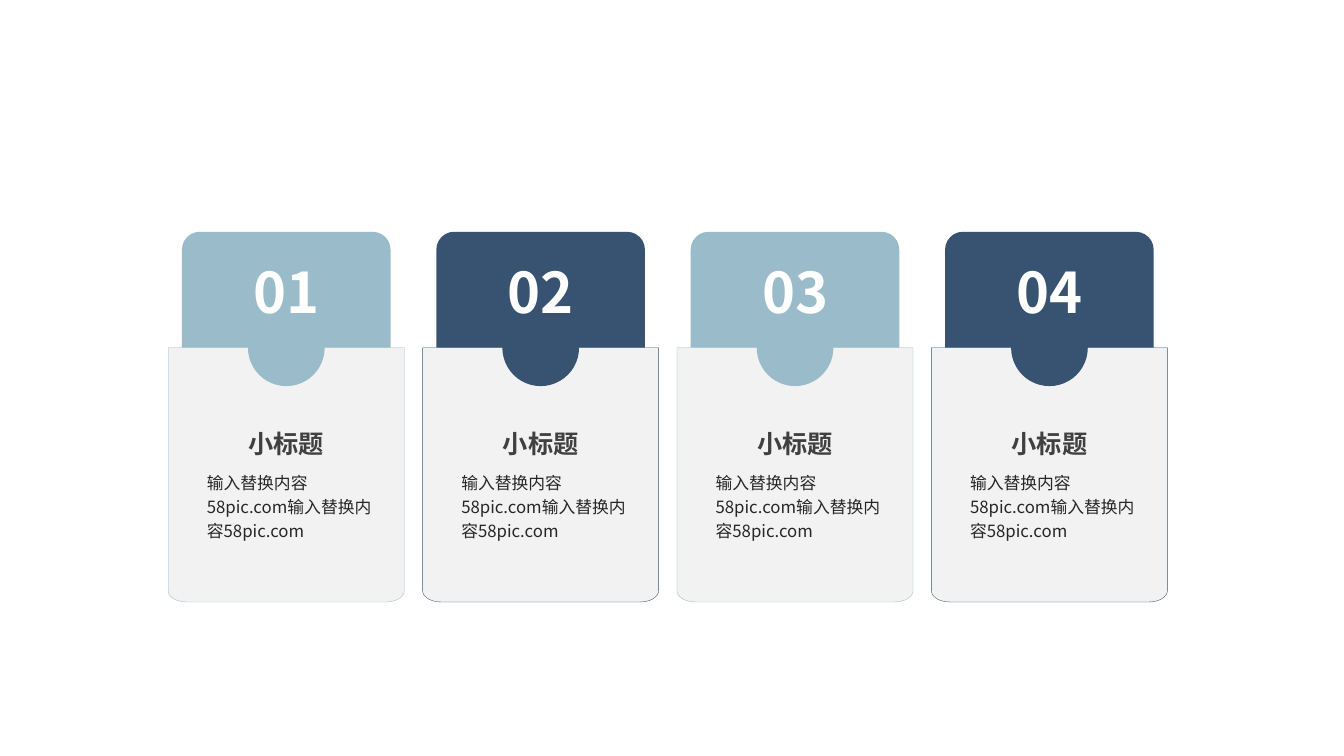
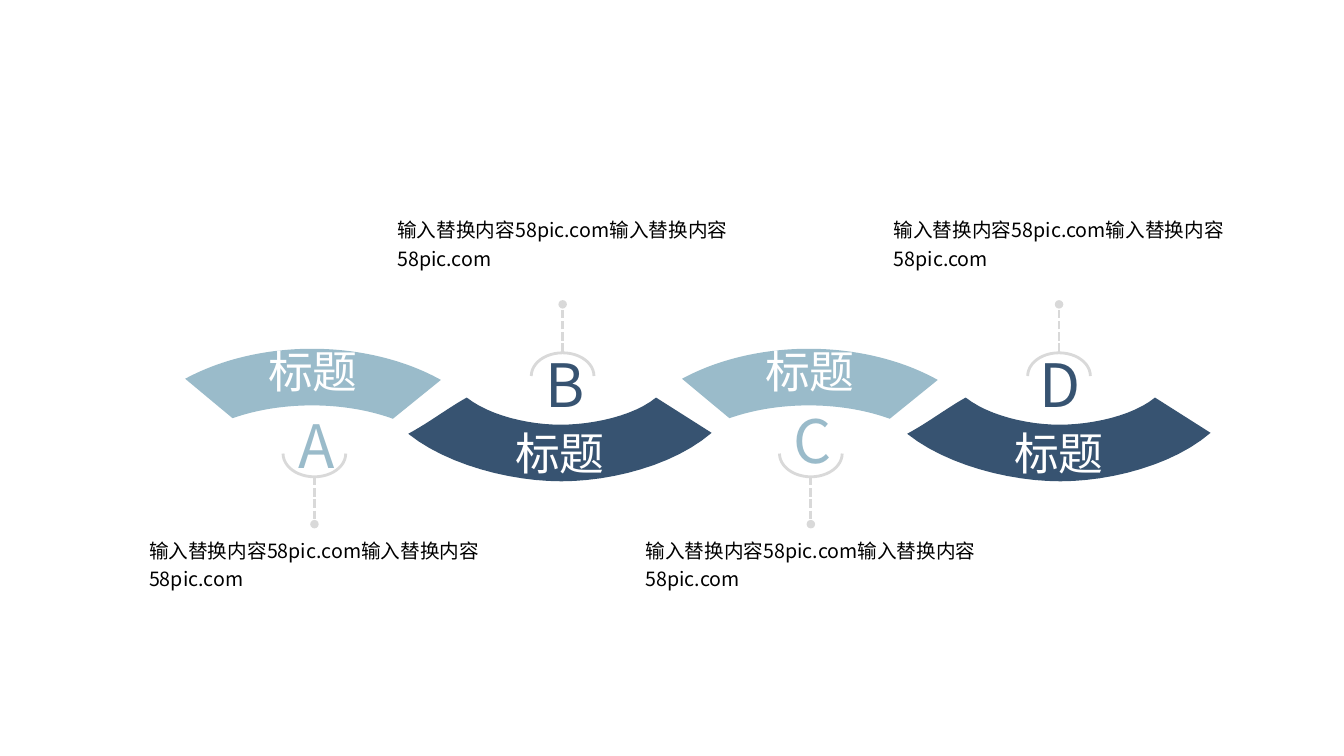
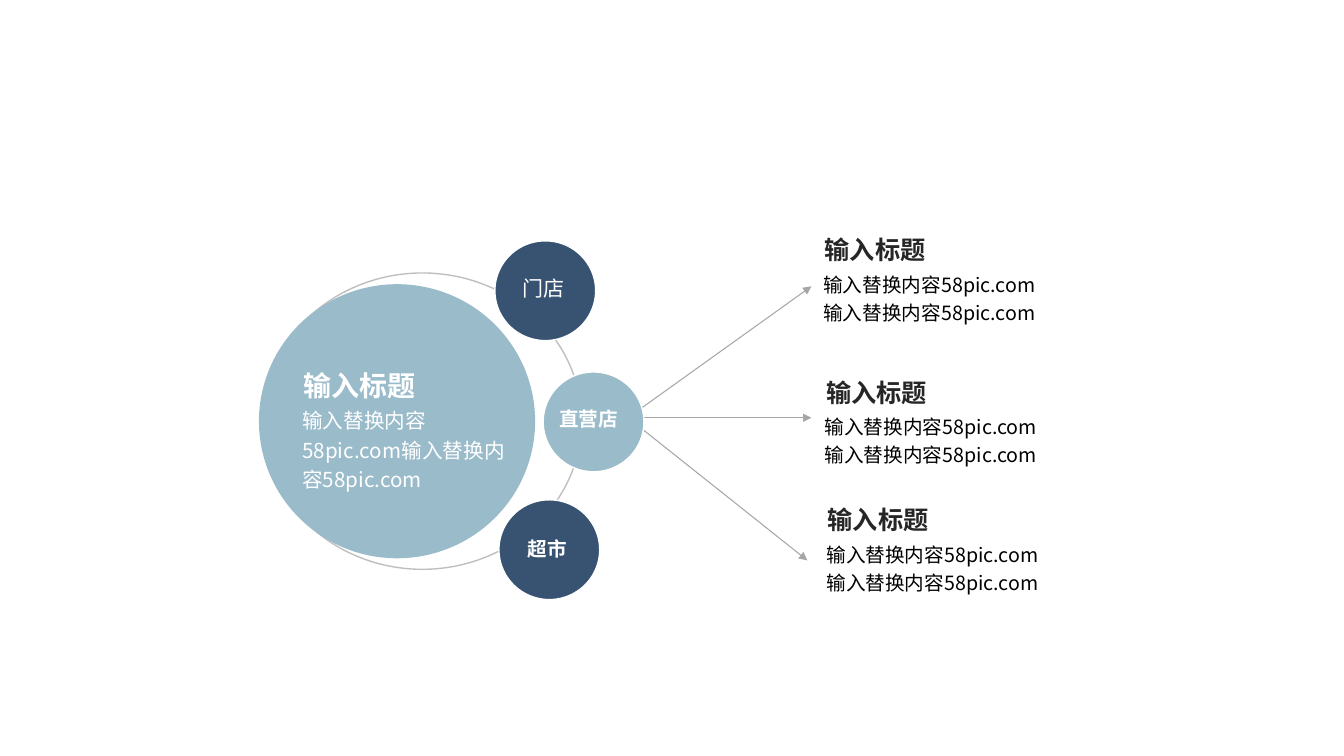
"""Build three diagram slides: numbered cards, a lettered wave and a hub with branches."""
import dataclasses
import math

import lxml.etree
import pptx
import pptx.dml.color
import pptx.enum.dml
import pptx.enum.shapes
import pptx.enum.text
import pptx.oxml.ns
import pptx.util

Pt = pptx.util.Pt
qn = pptx.oxml.ns.qn
SHAPE = pptx.enum.shapes.MSO_SHAPE
STRAIGHT = pptx.enum.shapes.MSO_CONNECTOR.STRAIGHT
CENTER = pptx.enum.text.PP_ALIGN.CENTER
MIDDLE = pptx.enum.text.MSO_ANCHOR.MIDDLE


@dataclasses.dataclass(frozen=True)
class Theme:
    light: str = "9ABBCA"
    dark: str = "375371"
    white: str = "FFFFFF"
    black: str = "000000"
    ink: str = "262626"
    heading: str = "404040"
    pocket: str = "F2F2F2"
    marker: str = "D9D9D9"
    orbit: str = "BFBFBF"
    arrow: str = "A6A6A6"
    font: str = "Noto Sans CJK SC"
    label_font: str = "Arial"
    head_font: str = "Calibri"
    letter: float = 42.7
    number: float = 40
    band: float = 32
    hub_head: float = 20
    head: float = 18
    store: float = 15
    hub_body: float = 14.7
    body: float = 14
    small: float = 12


theme = Theme()
accents = [theme.light, theme.dark, theme.light, theme.dark]
BODY = "输入替换内容58pic.com输入替换内容58pic.com"


def write(frame, text, size, color, font=theme.font, bold=False, align=None,
          spacing=None, insets=(7.2, 3.6, 7.2, 3.6), anchor=None, grow=True):
    frame.word_wrap = True
    if grow:
        frame.auto_size = pptx.enum.text.MSO_AUTO_SIZE.SHAPE_TO_FIT_TEXT
    frame.margin_left, frame.margin_top, frame.margin_right, frame.margin_bottom = map(Pt, insets)
    if anchor is not None:
        frame.vertical_anchor = anchor
    paragraph = frame.paragraphs[0]
    paragraph.alignment = align
    paragraph.line_spacing = spacing
    run = paragraph.add_run()
    run.text = text
    run.font.size = Pt(size)
    run.font.bold = bold
    run.font.color.rgb = pptx.dml.color.RGBColor.from_string(color)
    run.font.name = font
    lxml.etree.SubElement(run._r.get_or_add_rPr(), qn("a:ea"), typeface=theme.font)


def paint(part, fill=None, line=None, width=1, tail=None, dash=None):
    if line:
        part.line.color.rgb = pptx.dml.color.RGBColor.from_string(line)
        part.line.width = Pt(width)
    else:
        part.line.fill.background()
    if tail:
        part.line.dash_style = dash
        properties = part._element.spPr
        lxml.etree.SubElement(properties.find(qn("a:ln")), qn("a:tailEnd"), type=tail)
        lxml.etree.SubElement(properties, qn("a:effectLst"))
        return
    part.shadow.inherit = False
    if fill:
        part.fill.solid()
        part.fill.fore_color.rgb = pptx.dml.color.RGBColor.from_string(fill)
    else:
        part.fill.background()


deck = pptx.Presentation()
deck.slide_width, deck.slide_height = Pt(960), Pt(540)
blank = deck.slide_layouts[6]

shapes = deck.slides.add_slide(blank).shapes
card_width, card_height, card_top = 168.6, 181.6, 248.4
corner_x, corner_y = 13, 8
pocket_outline = [(0, 0), (card_width, 0)]
for corner_center, first_angle in ((card_width - corner_x, 0), (corner_x, 90)):
    for angle in range(first_angle, first_angle + 91, 10):
        pocket_outline.append((
            corner_center + corner_x * math.cos(math.radians(angle)),
            card_height - corner_y + corner_y * math.sin(math.radians(angle))))

for index, accent in enumerate(accents):
    left = 120.2 + 181.7 * index
    center = left + card_width / 2

    tab = shapes.add_shape(SHAPE.ROUNDED_RECTANGLE, Pt(center - 74.5), Pt(165.6), Pt(149), Pt(136.8))
    tab.adjustments[0] = 0.093
    paint(tab, accent)

    corners = [(Pt(left + x), Pt(card_top + y)) for x, y in pocket_outline]
    builder = shapes.build_freeform(*corners[0], scale=1.0)
    builder.add_line_segments(corners[1:], close=True)
    paint(builder.convert_to_shape(), theme.pocket, accent, 0.25)

    notch = shapes.add_shape(SHAPE.OVAL, Pt(center - 27.4), Pt(221), Pt(54.8), Pt(54.8))
    paint(notch, accent)

    number = shapes.add_textbox(Pt(center - 41), Pt(180.7), Pt(82), Pt(54))
    write(number.text_frame, f"{index + 1:02}", theme.number, theme.white, bold=True,
          align=CENTER, insets=(5, 2.9, 5, 2.9))
    body = shapes.add_textbox(Pt(left + 20.5), Pt(331.2), Pt(134.6), Pt(57.6))
    write(body.text_frame, BODY, theme.small, theme.ink, spacing=1.2)
    heading = shapes.add_textbox(Pt(left + 4.3), Pt(302.4), Pt(160), Pt(28.8))
    write(heading.text_frame, "小标题", theme.head, theme.heading, bold=True, align=CENTER)

shapes = deck.slides.add_slide(blank).shapes
smile_curves = [
    ((216.7, 25.2), (190, 48.2), (145.4, 59.8), (109.4, 59.8)),
    ((109.4, 59.8), (73.4, 59.8), (28, 48.2), (0, 25.9)),
    ((0, 25.9), (15.8, 17.3), (26.6, 8.6), (41.8, 0)),
    ((41.8, 0), (58.3, 13), (86.4, 19.4), (108.7, 19.4)),
    ((108.7, 19.4), (131.8, 19.4), (161.3, 13), (177, 0)),
]
smile_outline = []
for curve in smile_curves:
    for step in range(13):
        t = step / 12
        weights = ((1 - t) ** 3, 3 * t * (1 - t) ** 2, 3 * t * t * (1 - t), t ** 3)
        smile_outline.append([sum(w * point[axis] for w, point in zip(weights, curve))
                              for axis in (0, 1)])

wave = [("A", 78.5, 298), ("B", 291.6, 254.9), ("C", 433.4, 294.5), ("D", 648, 254.9)]
for index, (initial, band_left, letter_top) in enumerate(wave):
    center = 224.6 + 177.3 * index
    accent = accents[index]
    hanging = index % 2 == 0

    if hanging:
        cup_top, cup_angles, stem, body_top = 307.4, (0, 108), (340.6, 374.4), 378
        band_insets = (0, 0, 0, 18.7)
        band = shapes.add_shape(SHAPE.BLOCK_ARC, Pt(band_left), Pt(249.1), Pt(288.7), Pt(193.7))
        for position, value in enumerate((131.867, 192.598, 0.209)):
            band.adjustments[position] = value
    else:
        cup_top, cup_angles, stem, body_top = 252, (108, 0), (251.3, 217.4), 149
        band_insets = (0, 18.7, 0, 0)
        corners = [(Pt(band_left + x), Pt(284 + y)) for x, y in smile_outline]
        builder = shapes.build_freeform(*corners[0], scale=1.0)
        builder.add_line_segments(corners[1:], close=True)
        band = builder.convert_to_shape()
    paint(band, accent)
    write(band.text_frame, "标题", theme.band, theme.white, align=CENTER,
          insets=band_insets, anchor=MIDDLE, grow=False)

    cup = shapes.add_shape(SHAPE.ARC, Pt(center - 22.4), Pt(cup_top), Pt(44.8), Pt(33.2))
    cup.adjustments[0], cup.adjustments[1] = cup_angles
    paint(cup, line=theme.marker, width=2)
    pin = shapes.add_connector(STRAIGHT, Pt(center), Pt(stem[0]), Pt(center), Pt(stem[1]))
    paint(pin, line=theme.marker, width=2, tail="oval", dash=pptx.enum.dml.MSO_LINE.SQUARE_DOT)

    letter = shapes.add_textbox(Pt(193 + 176.9 * index), Pt(letter_top), Pt(67), Pt(49))
    write(letter.text_frame, initial, theme.letter, accent, align=CENTER, spacing=0.8)
    body = shapes.add_textbox(Pt(center - 125.2), Pt(body_top), Pt(250.6), Pt(46))
    write(body.text_frame, BODY, theme.body, theme.black, spacing=1.2)

shapes = deck.slides.add_slide(blank).shapes
orbit = shapes.add_shape(SHAPE.OVAL, Pt(188), Pt(195), Pt(227.5), Pt(211.7))
paint(orbit, line=theme.orbit)

for tip_x, tip_y in ((579.6, 298.4), (579.6, 204.5), (576.7, 400.3)):
    branch = shapes.add_connector(STRAIGHT, Pt(448.6), Pt(298.4), Pt(tip_x), Pt(tip_y))
    paint(branch, line=theme.arrow, width=0.75, tail="triangle")

hub = shapes.add_shape(SHAPE.OVAL, Pt(185), Pt(203), Pt(197.3), Pt(195.8))
paint(hub, theme.light)

stores = [
    ("超市", theme.dark, 356.4, 357, 370, 380.2, 50.4, theme.body, True),
    ("直营店", theme.light, 388, 265.7, 392.4, 287.3, 67.7, theme.body, True),
    ("门店", theme.dark, 353.5, 172, 365.8, 193, 53.3, theme.store, False),
]
for name, accent, left, top, label_left, label_top, label_width, size, bold in stores:
    store = shapes.add_shape(SHAPE.OVAL, Pt(left), Pt(top), Pt(72), Pt(71.3))
    paint(store, accent, theme.white)
    label = shapes.add_textbox(Pt(label_left), Pt(label_top), Pt(label_width), Pt(24.5))
    write(label.text_frame, name, size, theme.white, font=theme.label_font, bold=bold)

topics = [
    (208.8, 284.4, 24.5, theme.hub_head, theme.hub_body, theme.white, theme.white),
    (581, 188, 24.5, theme.head, theme.body, theme.ink, theme.black),
    (582, 289.6, 24, theme.head, theme.body, theme.ink, theme.black),
    (583.2, 381, 24, theme.head, theme.body, theme.ink, theme.black),
]
for left, body_top, rise, head_size, body_size, head_color, body_color in topics:
    body = shapes.add_textbox(Pt(left), Pt(body_top), Pt(170), Pt(46))
    write(body.text_frame, BODY, body_size, body_color, spacing=1.2)
    heading = shapes.add_textbox(Pt(left + 1), Pt(body_top - rise), Pt(177), Pt(29))
    write(heading.text_frame, "输入标题", head_size, head_color, font=theme.head_font, bold=True)

deck.save("out.pptx")
